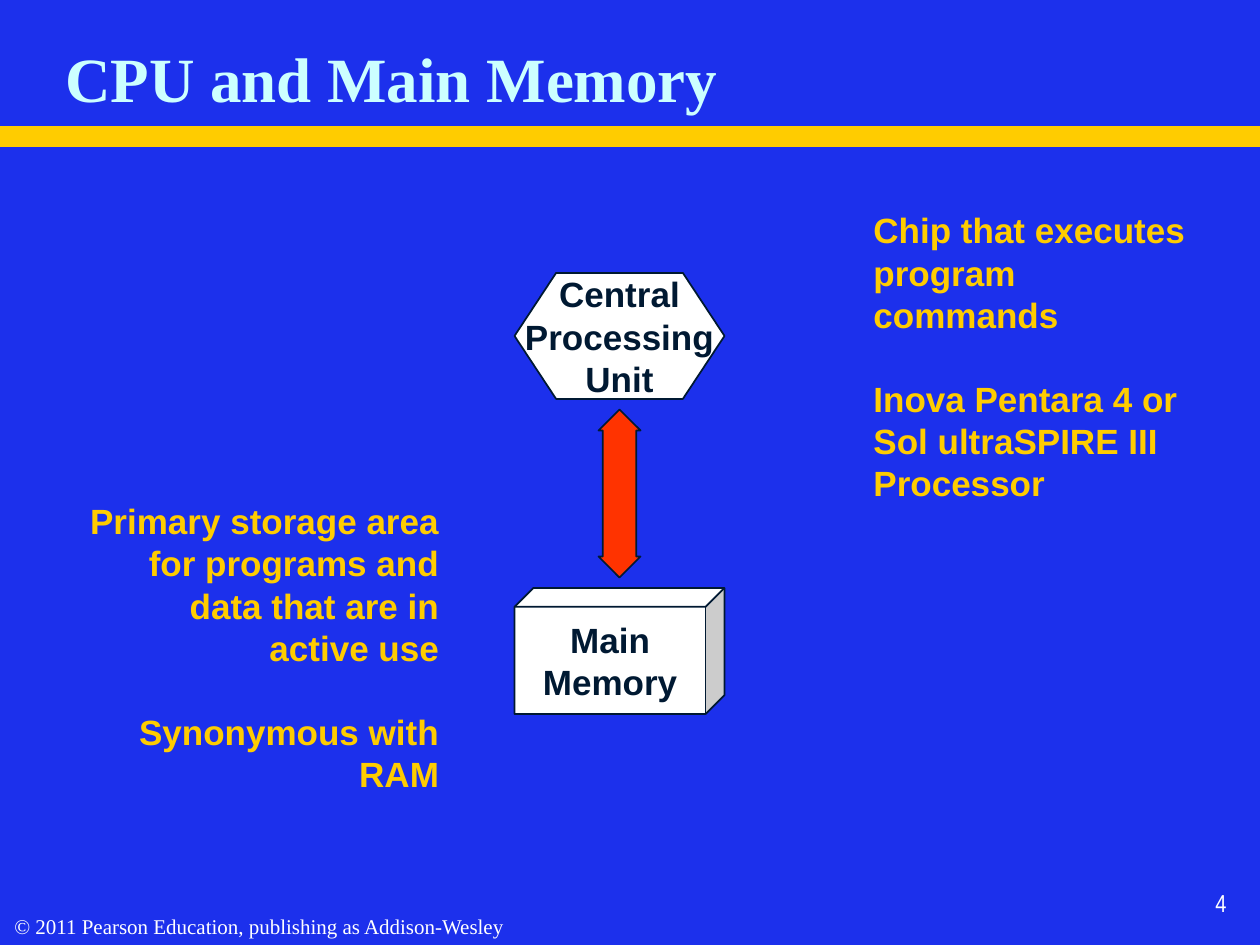
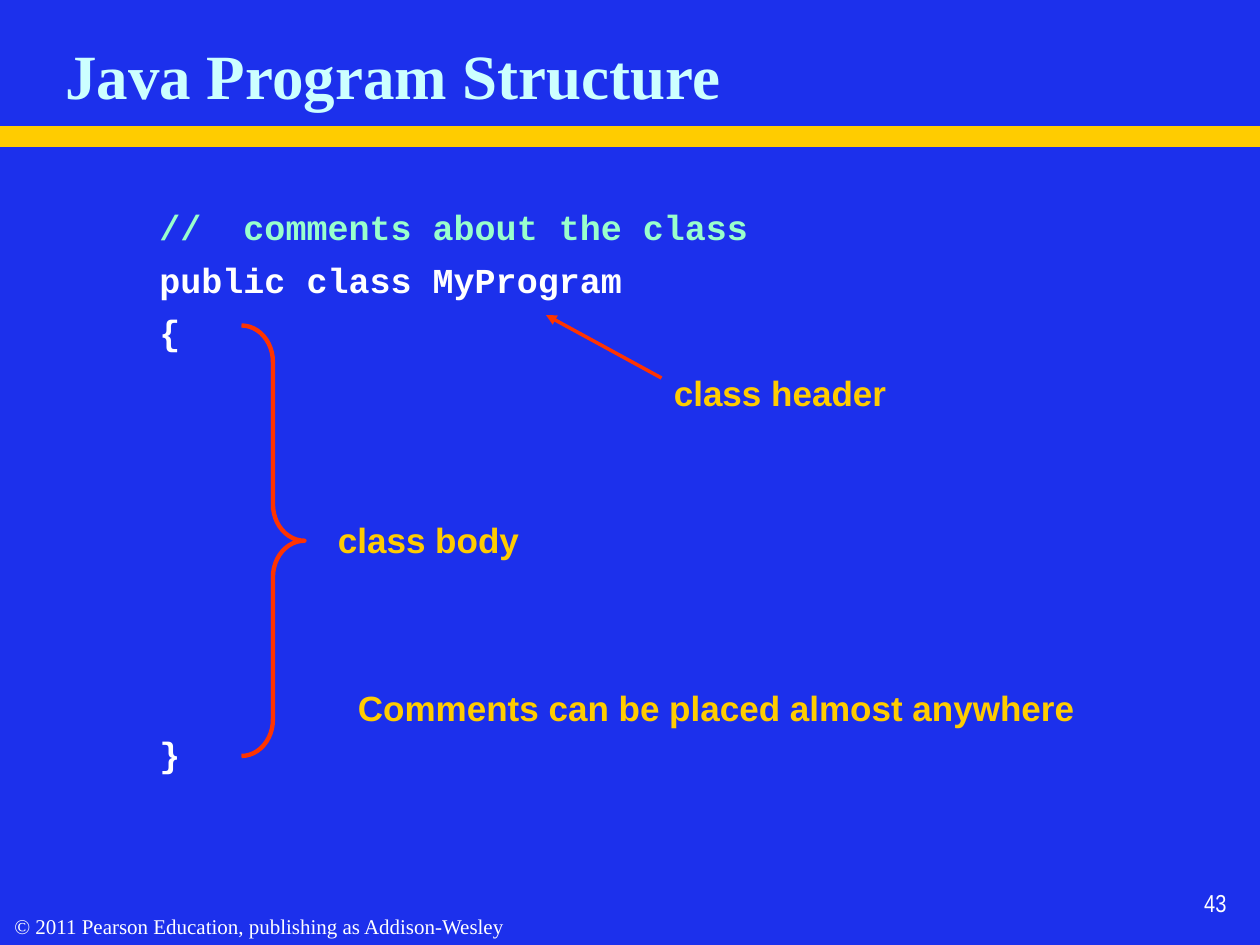
from collections import namedtuple
from dataclasses import dataclass

from lxml import etree
from pptx import Presentation, util as u
from pptx.dml.color import RGBColor
from pptx.enum import shapes, text
from pptx.oxml import ns

Kind, Side, Hold = shapes.MSO_SHAPE, text.PP_ALIGN, text.MSO_ANCHOR
Style = namedtuple("Style", "font size bold hue")

# Slide grid: 12 cells to the inch
COLS, ROWS = 120, 90
CELL = u.Inches(10) // COLS
LEAD = 1.205  # line pitch as a share of type size


@dataclass(frozen=True)
class Theme:
    back: str = "1C30EC"
    gold: str = "FFCC00"
    ink: str = "001932"
    white: str = "FFFFFF"
    red: str = "FF3300"
    title: Style = Style("Times New Roman", 36, True, "CCFFFF")
    foot: Style = Style("Times New Roman", 12, False, white)
    page: Style = Style("Arial Narrow", 14, False, white)
    note: Style = Style("Arial", 20, True, gold)
    node: Style = Style("Arial", 20, True, ink)
    code: Style = Style("Courier New", 20, True, white)
    remark: Style = Style("Courier New", 20, True, "99FFCC")


T = Theme()


class Box(namedtuple("Box", "x y w h")):
    """An area in grid cells."""

    def sub(self, x, y, w, h):
        return Box(self.x + x, self.y + y, w, h)

    def emu(self):
        return [round(n * CELL) for n in self]


PAGE = Box(0, 0, COLS, ROWS)
BODY = PAGE.sub(0, 14, COLS, 68)


def rgb(hue):
    return RGBColor.from_string(hue)


# Text: each row is a string, or a string with the lines left free above it
def write(frame, rows, style, side=Side.LEFT, hold=Hold.TOP, wrap=True):
    frame.word_wrap = wrap
    frame.auto_size = text.MSO_AUTO_SIZE.NONE
    frame.vertical_anchor = hold
    for i, row in enumerate(rows):
        line, gap = row if isinstance(row, tuple) else (row, 0)
        para = frame.paragraphs[0] if i == 0 else frame.add_paragraph()
        para.alignment = side
        para.line_spacing = u.Pt(style.size * LEAD)
        para.space_before = u.Pt(gap * style.size * LEAD)
        run = para.add_run()
        run.text = line
        font = run.font
        font.name, font.size, font.bold = style.font, u.Pt(style.size), style.bold
        font.color.rgb = rgb(style.hue)


def label(slide, box, rows, style, **opts):
    write(slide.shapes.add_textbox(*box.emu()).text_frame, rows, style, **opts)


def draw(slide, kind, box, fill=None, line=None, width=1, adj=()):
    shape = slide.shapes.add_shape(kind, *box.emu())
    shape.shadow.inherit = False
    if fill:
        shape.fill.solid()
        shape.fill.fore_color.rgb = rgb(fill)
    else:
        shape.fill.background()
    if line:
        shape.line.color.rgb = rgb(line)
        shape.line.width = u.Pt(width)
    else:
        shape.line.fill.background()
    for i, val in enumerate(adj):
        shape.adjustments[i] = val
    return shape


def arrow(slide, box, start, end):
    a, b = box.sub(*start, 0, 0).emu(), box.sub(*end, 0, 0).emu()
    link = slide.shapes.add_connector(shapes.MSO_CONNECTOR.STRAIGHT, *a[:2], *b[:2])
    link.line.color.rgb = rgb(T.red)
    link.line.width = u.Pt(2)
    props = link.element.spPr
    etree.SubElement(props.find(ns.qn("a:ln")), ns.qn("a:tailEnd"), type="triangle")
    etree.SubElement(props, ns.qn("a:effectLst"))


# Shared frame: band, footer, title and page number
def base(deck, box, head, page, hold):
    slide = deck.slides.add_slide(deck.slide_layouts[5])
    draw(slide, Kind.RECTANGLE, box.sub(0, 12, box.w, 2), T.gold)
    label(slide, box.sub(0, 86.4, 49.4, 3.6),
          ["© 2011 Pearson Education, publishing as Addison-Wesley"],
          T.foot, side=Side.CENTER, wrap=False)
    title = slide.shapes.title
    title.left, title.top, title.width, title.height = box.sub(5, 2.6, 102.6, 9).emu()
    write(title.text_frame, [head], T.title, hold=hold)
    label(slide, box.sub(93, 82, 25, 6), [page], T.page,
          side=Side.RIGHT, hold=Hold.BOTTOM)
    return slide


# Processor over memory, joined by a two-way arrow
def chips(slide, box):
    nodes = [
        (Kind.HEXAGON, 0, 0.33, ["Central", "Processing", "Unit"]),
        (Kind.CUBE, box.h - 12, 0.15, ["Main", "Memory"]),
    ]
    for kind, top, adj, rows in nodes:
        shape = draw(slide, kind, box.sub(0, top, box.w, 12), T.white, T.ink, adj=[adj])
        write(shape.text_frame, rows, T.node, Side.CENTER, Hold.MIDDLE, False)
    draw(slide, Kind.UP_DOWN_ARROW, box.sub(box.w / 2 - 2, 13, 4, 16),
         T.red, T.ink, adj=[0.5, 0.8])


def memory(slide, box):
    chips(slide, box.sub(49, 12, 20, 42))
    label(slide, box.sub(82, 5.3, 34, 29.3),
          ["Chip that executes program commands",
           ("Inova Pentara 4 or", 1),
           "Sol ultraSPIRE III Processor"], T.note)
    label(slide, box.sub(7, 33, 36, 29.3),
          ["Primary storage area for programs and data that are in active use",
           ("Synonymous with RAM", 1)], T.note, side=Side.RIGHT)


# Code listing with its parts pointed out
def listing(slide, box):
    rows = [
        (["//  comments about the class"], T.remark),
        (["public class MyProgram"], T.code),
        (["{", ("}", 9)], T.code),
    ]
    for i, (lines, style) in enumerate(rows):
        tall = box.h - 10 if len(lines) > 1 else 5.3
        label(slide, box.sub(0, 5 * i, box.w, tall), lines, style)


def program(slide, box):
    listing(slide, box.sub(14, 5, 64, 55.3))
    notes = [
        (63, 20.8, "class header"),
        (31, 34.8, "class body"),
        (32.9, 50.8, "Comments can be placed almost anywhere"),
    ]
    for x, y, words in notes:
        label(slide, box.sub(x, y, len(words) * 2.1, 5.3), [words], T.note)
    draw(slide, Kind.RIGHT_BRACE, box.sub(23, 17, 6, 41),
         line=T.red, width=2.5, adj=[0.58, 0.5])
    arrow(slide, box, (63, 22), (52, 16))


def main():
    deck = Presentation()
    deck.slide_width, deck.slide_height = COLS * CELL, ROWS * CELL
    fill = deck.slide_master.background.fill
    fill.solid()
    fill.fore_color.rgb = rgb(T.back)
    memory(base(deck, PAGE, "CPU and Main Memory", "4", Hold.BOTTOM), BODY)
    program(base(deck, PAGE, "Java Program Structure", "43", Hold.MIDDLE), BODY)
    deck.save("out.pptx")


if __name__ == "__main__":
    main()
